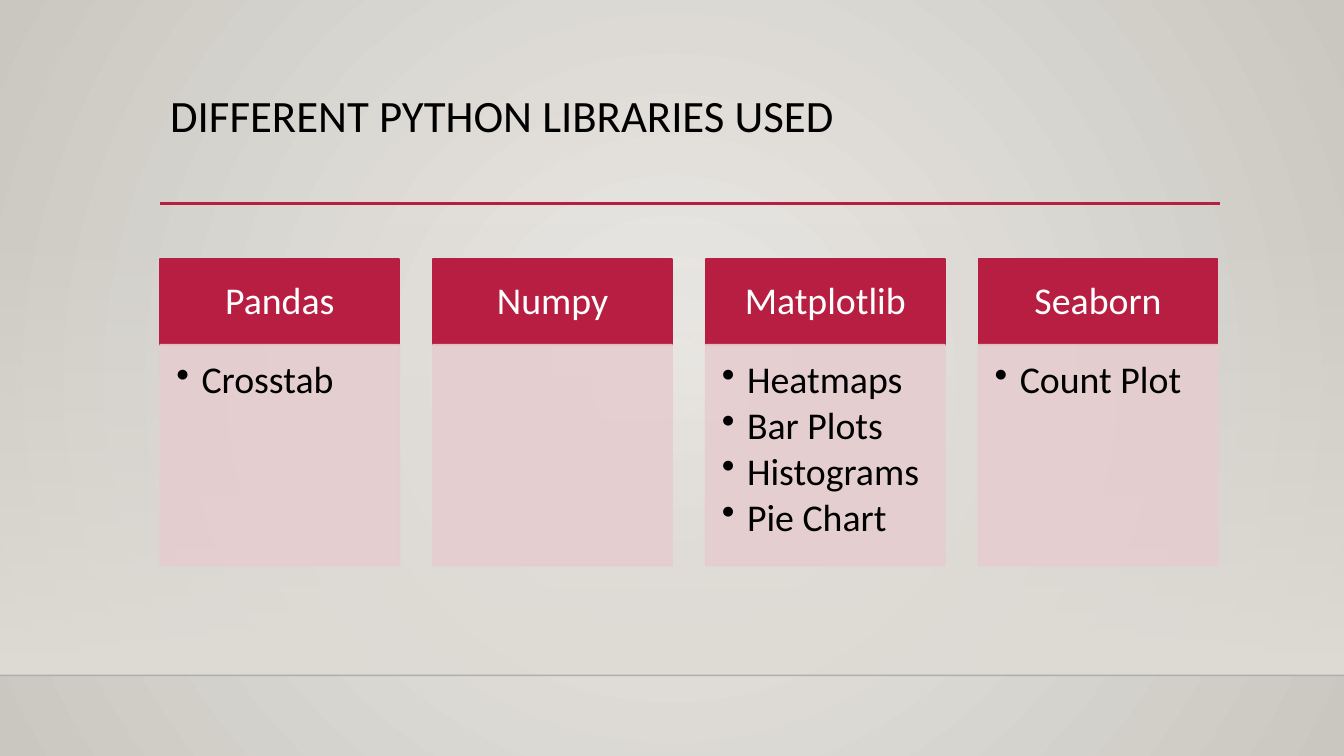
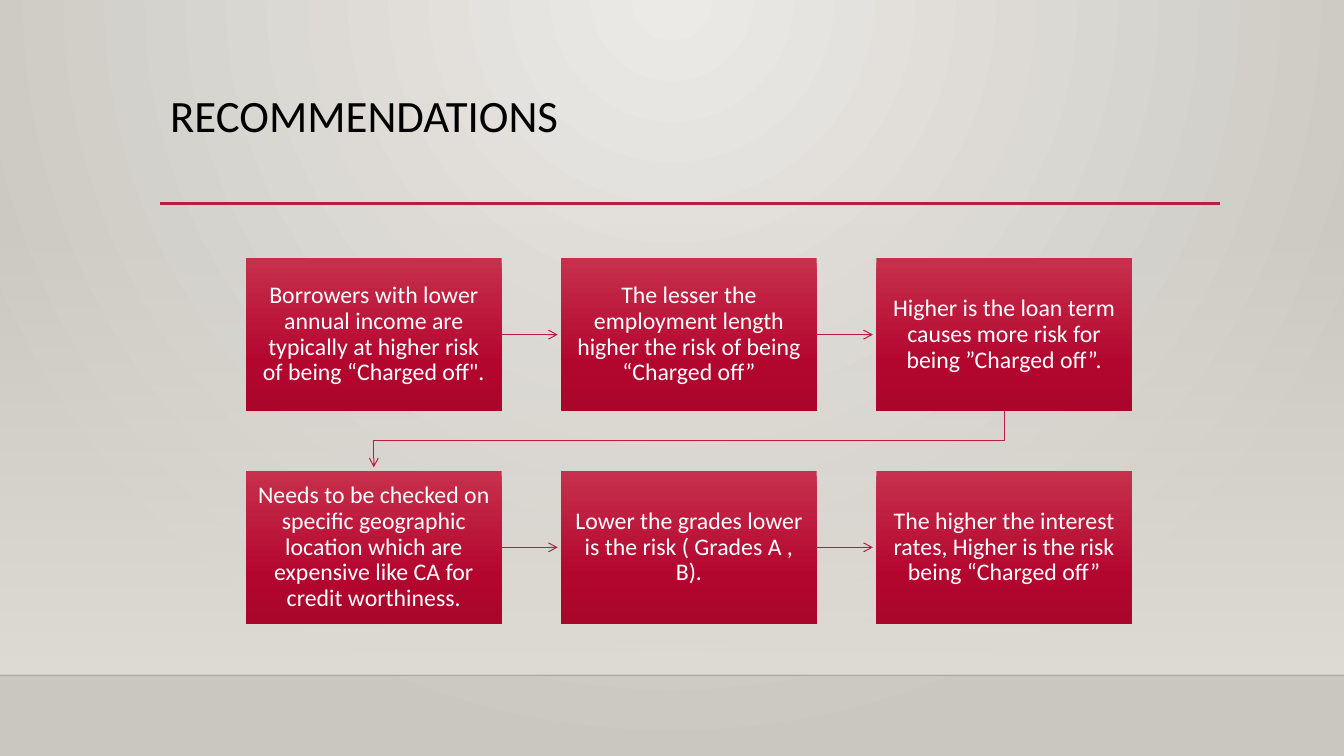
from collections import namedtuple
from dataclasses import dataclass
from itertools import pairwise

from lxml.etree import SubElement
from pptx import Presentation
from pptx.dml.color import RGBColor
from pptx.enum.shapes import MSO_CONNECTOR as Link, MSO_SHAPE as Preset
from pptx.enum.text import MSO_ANCHOR as Anchor, PP_ALIGN as Align
from pptx.oxml import parse_xml
from pptx.oxml.ns import nsdecls, qn
from pptx.util import Inches, Pt


@dataclass(frozen=True)
class Theme:
    font: str = "Calibri"
    accent: str = "B71E42"
    panel: str = "E6CDCF"
    ink: str = "000000"
    paper: str = "FFFFFF"
    edge: str = "000001"
    backdrop: tuple = ((0, "ECEAE7", 100), (100, "CAC7C1", 100))
    wall: tuple = ((0, "DFDBD5", 0), (100, "DFDBD5", 100))
    step: tuple = ((0, "C7304C", 100), (69, "B3062F", 100), (100, "AA062C", 100))
    title_size: int = 32
    card_size: int = 27
    step_size: int = 17


THEME = Theme()
# The slide is a grid of 160 columns by 90 rows, twelve to the inch
COLUMNS, ROWS = 160, 90
CELL = Inches(1) // 12
Box = namedtuple("Box", "x y w h")

TITLE = Box(19.08, 10.56, 126, 13.8)
RULE = Box(19.08, 24.24, 126.12, 0)
WALL = Box(0, 26.52, COLUMNS, 53.88)
CARDS = Box(19.08, 30.84, 125.88, 36.48)
FLOW = Box(29.28, 30.72, 105.48, 43.56)

MIDDLE = {"word_wrap": True, "vertical_anchor": Anchor.MIDDLE}
HEADER_FRAME = MIDDLE | dict(margin_left=Inches(0.21), margin_right=Inches(0.21),
                             margin_top=Inches(0.12), margin_bottom=Inches(0.12))
STEP_FRAME = MIDDLE | dict(margin_left=Inches(0.12), margin_right=Inches(0.12),
                           margin_top=Inches(0.13), margin_bottom=Inches(0.13))
LIST_FRAME = dict(word_wrap=True, vertical_anchor=Anchor.TOP,
                  margin_left=Inches(0.16), margin_right=Inches(0.21),
                  margin_top=Inches(0.16), margin_bottom=Inches(0.24))
TITLE_FRAME = {"word_wrap": True, "vertical_anchor": Anchor.TOP}
CENTRED = {"alignment": Align.CENTER, "line_spacing": 0.9}
LISTED = {"alignment": Align.LEFT, "line_spacing": 0.9, "space_after": Pt(3.6)}
TITLED = {"alignment": Align.LEFT, "line_spacing": 0.9}

LIBRARIES = [
    ("Pandas", ["Crosstab"]),
    ("Numpy", []),
    ("Matplotlib", ["Heatmaps", "Bar Plots", "Histograms", "Pie Chart"]),
    ("Seaborn", ["Count Plot"]),
]
ADVICE = [
    "Borrowers with lower annual income are typically at higher risk of being “Charged off\".",
    "The lesser the employment length higher the risk of being “Charged off”",
    "Higher is the loan term causes more risk for being ”Charged off”.",
    "Needs to be checked on specific geographic location which are expensive like CA for credit worthiness.",
    "Lower the grades lower is the risk ( Grades A , B).",
    "The higher the interest rates, Higher is the risk being “Charged off”",
]


# Shared helpers
def emu(*cells):
    return [round(cell * CELL) for cell in cells]


def apply(target, values):
    for name, value in values.items():
        setattr(target, name, value)


def split(box, columns, rows, gap):
    """Equal cells of a box, row by row."""
    w = (box.w - gap * (columns - 1)) / columns
    h = (box.h - gap * (rows - 1)) / rows
    return [Box(box.x + c * (w + gap), box.y + r * (h + gap), w, h)
            for r in range(rows) for c in range(columns)]


def gradient(fill, holder, stops, direction):
    fill.solid()
    marks = "".join(
        f'<a:gs pos="{at * 1000}"><a:srgbClr val="{colour}">'
        f'<a:alpha val="{alpha * 1000}"/></a:srgbClr></a:gs>'
        for at, colour, alpha in stops)
    holder.replace(holder.find(qn("a:solidFill")), parse_xml(
        f'<a:gradFill {nsdecls("a")} rotWithShape="1">'
        f"<a:gsLst>{marks}</a:gsLst>{direction}</a:gradFill>"))


def fade(shape, alpha):
    for colour in shape._element.spPr.iter(qn("a:srgbClr")):
        SubElement(colour, qn("a:alpha")).set("val", str(alpha * 1000))


def stroke(line, colour, width):
    line.color.rgb = RGBColor.from_string(colour)
    line.width = Pt(width)


def add_block(slide, box, fill, line_width=None):
    """A rectangle, filled with one colour or with gradient stops."""
    block = slide.shapes.add_shape(Preset.RECTANGLE, *emu(*box))
    block.shadow.inherit = False
    if isinstance(fill, str):
        block.fill.solid()
        block.fill.fore_color.rgb = RGBColor.from_string(fill)
    else:
        gradient(block.fill, block._element.spPr, fill, '<a:lin ang="5400000" scaled="0"/>')
    if line_width:
        stroke(block.line, fill, line_width)
    else:
        block.line.fill.background()
    return block


def add_line(slide, x1, y1, x2, y2, colour, width):
    line = slide.shapes.add_connector(Link.STRAIGHT, *emu(x1, y1, x2, y2))
    stroke(line.line, colour, width)
    SubElement(line._element.spPr, qn("a:effectLst"))
    return line


def add_arrowhead(line):
    SubElement(line._element.spPr.find(qn("a:ln")), qn("a:tailEnd")).set("type", "arrow")


def write(shape, texts, size, colour, frame_format, paragraph_format):
    frame = shape.text_frame
    apply(frame, frame_format)
    frame.text = "\n".join(texts)
    for paragraph in frame.paragraphs:
        apply(paragraph, paragraph_format)
        apply(paragraph.font, {"name": THEME.font, "size": Pt(size)})
        paragraph.font.color.rgb = RGBColor.from_string(colour)


def add_bullets(shape):
    for paragraph in shape.text_frame.paragraphs:
        props = paragraph._p.get_or_add_pPr()
        props.set("marL", str(Inches(0.25)))
        props.set("indent", str(-Inches(0.25)))
        bullet = parse_xml(f'<a:buChar {nsdecls("a")} char="•"/>')
        props.insert_element_before(bullet, "a:tabLst", "a:defRPr", "a:extLst")


# Backdrop, floor edge, rule and title
def start_slide(deck, title, glow):
    slide = deck.slides.add_slide(deck.slide_layouts[6])
    sides = " ".join(f'{side}="{share * 1000}"' for side, share in zip("ltrb", glow))
    fill = slide.background.fill
    fill.solid()
    gradient(fill, slide._element.find(".//" + qn("p:bgPr")), THEME.backdrop,
             f'<a:path path="circle"><a:fillToRect {sides}/></a:path>')
    add_block(slide, WALL, THEME.wall)
    floor = WALL.y + WALL.h
    fade(add_line(slide, 0, floor, COLUMNS, floor, THEME.edge, 1), 20)
    add_line(slide, RULE.x, RULE.y, RULE.x + RULE.w, RULE.y, THEME.accent, 2.5)
    heading = slide.shapes.add_textbox(*emu(*TITLE))
    write(heading, [title], THEME.title_size, THEME.ink, TITLE_FRAME, TITLED)
    return slide


# One library: header above a list of its uses
def add_card(slide, box, name, uses):
    header_h = box.h * 0.28
    header = add_block(slide, box._replace(h=header_h), THEME.accent, 1.25)
    write(header, [name], THEME.card_size, THEME.paper, HEADER_FRAME, CENTRED)
    panel = add_block(slide, Box(box.x, box.y + header_h, box.w, box.h - header_h),
                      THEME.panel, 1.25)
    fade(panel, 90)
    if uses:
        write(panel, uses, THEME.card_size, THEME.ink, LIST_FRAME, LISTED)
        add_bullets(panel)


def add_cards(slide, box):
    for cell, (name, uses) in zip(split(box, len(LIBRARIES), 1, 4), LIBRARIES):
        add_card(slide, cell, name, uses)


# Steps in two rows, joined by arrows
def add_step(slide, box, advice):
    step = add_block(slide, box, THEME.step)
    write(step, [advice], THEME.step_size, THEME.paper, STEP_FRAME, CENTRED)
    return step


def add_turn(slide, start, end, clearance):
    """Bent arrow from the end of one row to the start of the next."""
    x1, x2 = start.x + start.w / 2, end.x + end.w / 2
    top = start.y + start.h
    bend = (top + end.y) / 2
    builder = slide.shapes.build_freeform(*emu(x1, top))
    builder.add_line_segments(
        [emu(x1, bend), emu(x2, bend), emu(x2, end.y - clearance)], close=False)
    turn = builder.convert_to_shape()
    turn.shadow.inherit = False
    turn.fill.background()
    stroke(turn.line, THEME.accent, 0.75)
    return turn


def add_flow(slide, box, clearance=0.4):
    cells = split(box, 3, 2, 7.08)
    steps = [add_step(slide, cell, advice) for cell, advice in zip(cells, ADVICE)]
    for (step, cell), (_, following) in pairwise(zip(steps, cells)):
        if following.y > cell.y:
            arrow = add_turn(slide, cell, following, clearance)
        else:
            y = cell.y + cell.h / 2
            arrow = add_line(slide, cell.x + cell.w, y, following.x - clearance, y,
                             THEME.accent, 0.75)
            arrow.begin_connect(step, 3)
        add_arrowhead(arrow)


def main():
    deck = Presentation()
    deck.slide_width, deck.slide_height = emu(COLUMNS, ROWS)
    add_cards(start_slide(deck, "DIFFERENT PYTHON LIBRARIES USED", (50, 50, 50, 50)), CARDS)
    add_flow(start_slide(deck, "RECOMMENDATIONS", (43, 0, 43, 100)), FLOW)
    deck.save("out.pptx")


if __name__ == "__main__":
    main()
